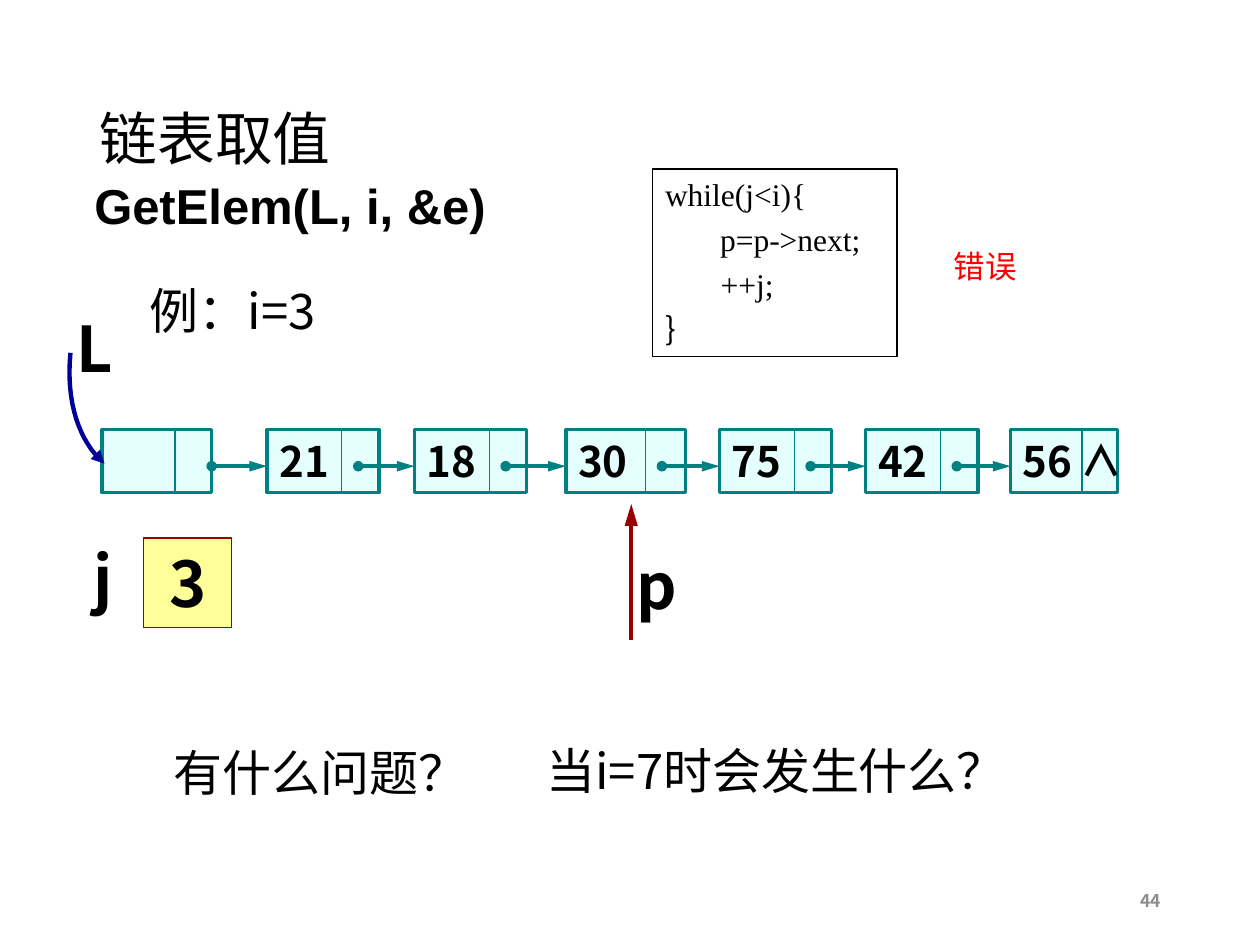
from lxml import etree
from pptx import Presentation
from pptx.dml.color import RGBColor
from pptx.enum.shapes import MSO_CONNECTOR as CONNECTOR, MSO_SHAPE as SHAPE
from pptx.enum.text import MSO_ANCHOR as ANCHOR, PP_ALIGN as ALIGN
from pptx.oxml.ns import qn
from pptx.util import Inches, Pt

BLACK = RGBColor(0, 0, 0)
GRAY = RGBColor(0x8C, 0x8C, 0x8C)
RED = RGBColor(0xFF, 0, 0)
DARK_RED = RGBColor(0x99, 0, 0)
NAVY = RGBColor(0, 0, 0x99)
TEAL = RGBColor(0, 0x80, 0x80)
PALE_CYAN = RGBColor(0xCC, 0xFF, 0xFF)
PALE_YELLOW = RGBColor(0xFF, 0xFF, 0x99)
CJK, ARIAL, TIMES = "Noto Sans CJK SC", "Arial", "Times New Roman"

# Left, width and label of each list node; the first is the head node
NODES = [(0.81, 0.87, ""), (2.12, 0.89, "21"), (3.29, 0.89, "18"),
         (4.49, 0.95, "30"), (5.71, 0.89, "75"), (6.87, 0.89, "42"),
         (8.02, 0.85, "56")]
CODE = ["while(j<i){", "       p=p->next;", "\t ++j;", "}"]


def style_paragraph(paragraph, size, color=BLACK, bold=False, font=CJK, align=ALIGN.LEFT):
    paragraph.alignment = align
    for run in paragraph.runs:
        run.font.size, run.font.bold, run.font.name = Pt(size), bold, font
        run.font.color.rgb = color
        east_asian = etree.SubElement(run.font._element, qn("a:ea"))
        east_asian.set("typeface", CJK)


def write(shape, text, size, anchor=ANCHOR.TOP, **style):
    frame = shape.text_frame
    frame.word_wrap = True
    frame.vertical_anchor = anchor
    frame.text = text
    style_paragraph(frame.paragraphs[0], size, **style)


def add_label(slide, box, text, size, **style):
    write(slide.shapes.add_textbox(*map(Inches, box)), text, size, **style)


def add_box(slide, box, fill, line, width):
    rect = slide.shapes.add_shape(SHAPE.RECTANGLE, *map(Inches, box))
    rect.shadow.inherit = False
    if fill is None:
        rect.fill.background()
    else:
        rect.fill.solid()
        rect.fill.fore_color.rgb = fill
    rect.line.color.rgb, rect.line.width = line, Pt(width)
    return rect


def add_ends(line, **ends):
    """Add line ends, each given as (type, length)."""
    for tag in ("headEnd", "tailEnd"):
        if tag in ends:
            kind, length = ends[tag]
            end = etree.SubElement(line._get_or_add_ln(), qn(f"a:{tag}"))
            end.set("type", kind)
            end.set("w", "med")
            end.set("len", length)


def add_line(slide, start, finish, color, width, **ends):
    connector = slide.shapes.add_connector(
        CONNECTOR.STRAIGHT, *map(Inches, (*start, *finish)))
    connector.line.color.rgb, connector.line.width = color, Pt(width)
    add_ends(connector.line, **ends)
    etree.SubElement(connector._element.spPr, qn("a:effectLst"))


def add_title(slide, box):
    title = slide.shapes.title
    title.left, title.top, title.width, title.height = map(Inches, box)
    write(title, "链表取值", 33, anchor=ANCHOR.MIDDLE)
    title.text_frame.paragraphs[0].line_spacing = 0.9


def add_node(slide, box, label):
    left, top, width, height = box
    cell = add_box(slide, box, PALE_CYAN, TEAL, 2)
    color = cell.fill._xPr.find(qn("a:solidFill"))[0]
    etree.SubElement(color, qn("a:alpha")).set("val", "50000")
    if label:
        write(cell, label, 24, anchor=ANCHOR.MIDDLE, bold=True)
    divider = left + width * 2 / 3
    add_line(slide, (divider, top), (divider, top + height), TEAL, 0.75)
    return divider


def add_linked_list(slide, top, height):
    link_y = top + 0.29
    link_start = None
    for left, width, label in NODES:
        divider = add_node(slide, (left, top, width, height), label)
        if link_start is not None:
            add_line(slide, (link_start, link_y), (left, link_y), TEAL, 2,
                     headEnd=("oval", "med"), tailEnd=("triangle", "lg"))
        # The head node links from its edge, the others from the pointer cell
        link_start = divider + 0.13 if label else left + width
    add_label(slide, (8.48, top - 0.01, 0.45, height), "∧", 24, bold=True)


def add_head_pointer(slide, left, top):
    """Label L with a curved arrow down to the head node."""
    add_label(slide, (left, top, 0.53, 0.7), "L", 36, bold=True)
    curve = [(0.32, 1.27), (0.12, 1.10), (0.01, 0.78), (0.05, 0.39)]
    steps = 16
    points = []
    for step in range(steps + 1):
        t = step / steps
        weights = ((1 - t) ** 3, 3 * t * (1 - t) ** 2, 3 * t * t * (1 - t), t ** 3)
        x, y = (sum(w * p[axis] for w, p in zip(weights, curve)) for axis in (0, 1))
        points.append((Inches(left + x), Inches(top + y)))
    builder = slide.shapes.build_freeform(*points[0])
    builder.add_line_segments(points[1:], close=False)
    arrow = builder.convert_to_shape()
    arrow.shadow.inherit = False
    arrow.fill.background()
    arrow.line.color.rgb, arrow.line.width = NAVY, Pt(2.5)
    add_ends(arrow.line, headEnd=("triangle", "med"))


def add_node_pointer(slide, x, top):
    add_line(slide, (x, top), (x, top + 1.08), DARK_RED, 2.5,
             headEnd=("triangle", "lg"))
    add_label(slide, (x - 0.06, top + 0.29, 0.48, 0.7), "p", 36, bold=True)


def add_counter(slide, left, top):
    add_label(slide, (left, top, 0.37, 0.7), "j", 36, bold=True)
    value = add_box(slide, (left + 0.5, top + 0.04, 0.7, 0.71),
                    PALE_YELLOW, DARK_RED, 0.75)
    write(value, "3", 36, bold=True, align=ALIGN.CENTER)


def add_code(slide, box):
    frame = add_box(slide, box, None, BLACK, 0.75).text_frame
    frame.word_wrap = True
    frame.vertical_anchor = ANCHOR.TOP
    for number, text in enumerate(CODE):
        paragraph = frame.add_paragraph() if number else frame.paragraphs[0]
        paragraph.text = text
        properties = paragraph._p.get_or_add_pPr()
        properties.set("marL", str(Inches(0.38)))
        properties.set("indent", str(-Inches(0.38)))
        if number:
            paragraph.space_before = Pt(4)
        style_paragraph(paragraph, 18, font=CJK if text == "}" else TIMES)


def main():
    deck = Presentation()
    deck.slide_width, deck.slide_height = Inches(10), Inches(7.5)
    slide = deck.slides.add_slide(deck.slide_layouts[5])

    # Heading and example
    add_title(slide, (0.69, 0.4, 8.62, 1.45))
    add_label(slide, (0.65, 1.34, 4.2, 0.57), "GetElem(L, i, &e)", 28,
              bold=True, font=ARIAL)
    add_label(slide, (1.09, 2.18, 1.78, 0.57), "例：i=3", 28)

    # Linked list with its pointers and counter
    add_linked_list(slide, 3.41, 0.5)
    add_head_pointer(slide, 0.51, 2.41)
    add_node_pointer(slide, 5.01, 4)
    add_counter(slide, 0.64, 4.23)

    # Loop code and verdict
    add_code(slide, (5.18, 1.34, 1.94, 1.49))
    add_label(slide, (7.47, 1.91, 1.31, 0.4), "错误", 18, color=RED)

    # Questions and page number
    add_label(slide, (1.28, 5.84, 2.63, 0.57), "有什么问题？", 28)
    add_label(slide, (4.24, 5.83, 4.14, 0.57), "当i=7时会发生什么？", 28)
    add_label(slide, (7.06, 6.95, 2.25, 0.4), "44", 10, anchor=ANCHOR.MIDDLE,
              color=GRAY, bold=True, align=ALIGN.RIGHT)

    deck.save("out.pptx")


if __name__ == "__main__":
    main()
